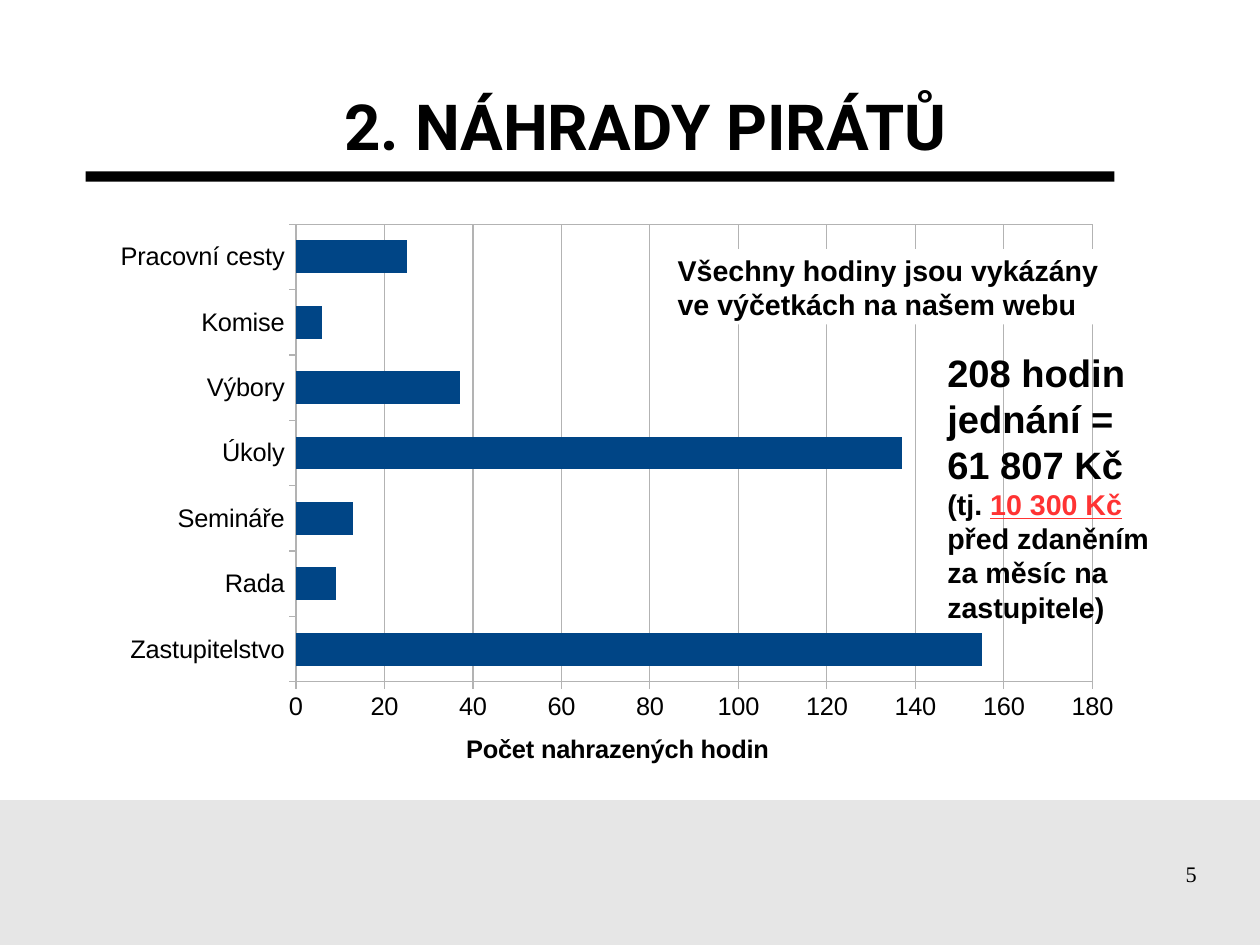
from dataclasses import dataclass

from lxml import etree
from pptx import Presentation
from pptx.chart.data import CategoryChartData
from pptx.dml.color import RGBColor
from pptx.enum.chart import XL_CHART_TYPE, XL_TICK_MARK
from pptx.enum.shapes import MSO_SHAPE
from pptx.enum.text import MSO_ANCHOR, MSO_AUTO_SIZE, PP_ALIGN
from pptx.util import Inches, Pt

BAR_CHART = XL_CHART_TYPE.BAR_CLUSTERED
TICK_OUTSIDE = XL_TICK_MARK.OUTSIDE
RECTANGLE = MSO_SHAPE.RECTANGLE
BOTTOM = MSO_ANCHOR.BOTTOM
NO_AUTOFIT = MSO_AUTO_SIZE.NONE
LEFT, CENTER, RIGHT = PP_ALIGN.LEFT, PP_ALIGN.CENTER, PP_ALIGN.RIGHT

CM_PER_INCH = 2.54
SLIDE_WIDTH, SLIDE_HEIGHT = 28 / CM_PER_INCH, 21 / CM_PER_INCH
BLACK, WHITE, GRAY, RED, BLUE, FOOTER = (
    "000000", "FFFFFF", "B3B3B3", "FF3333", "004586", "E6E6E6")
CHART_NS = "http://schemas.openxmlformats.org/drawingml/2006/chart"
DRAWING_NS = "http://schemas.openxmlformats.org/drawingml/2006/main"

HOURS = {
    "Zastupitelstvo": 155,
    "Rada": 9,
    "Semináře": 13,
    "Úkoly": 137,
    "Výbory": 37,
    "Komise": 6,
    "Pracovní cesty": 25,
}


@dataclass
class Box:
    left: float
    top: float
    width: float
    height: float

    def inches(self) -> tuple:
        return tuple(Inches(n) for n in (self.left, self.top, self.width, self.height))


@dataclass
class Run:
    text: str
    size: float
    color: str = BLACK
    bold: bool = True
    underline: bool = False
    font: str = "Arial"


def rgb(color: str) -> RGBColor:
    return RGBColor.from_string(color)


def style_font(font, run: Run) -> None:
    font.name = run.font
    font.size = Pt(run.size)
    font.bold = run.bold
    font.underline = run.underline
    font.color.rgb = rgb(run.color)


def write_text(frame, paragraphs: list[list[Run]], align=LEFT, margins=(0.1, 0.05)) -> None:
    frame.word_wrap = True
    frame.auto_size = NO_AUTOFIT
    frame.margin_left = frame.margin_right = Inches(margins[0])
    frame.margin_top = frame.margin_bottom = Inches(margins[1])
    for index, runs in enumerate(paragraphs):
        paragraph = frame.add_paragraph() if index else frame.paragraphs[0]
        paragraph.alignment = align
        for item in runs:
            run = paragraph.add_run()
            run.text = item.text
            style_font(run.font, item)


def add_rectangle(slide, box: Box, color: str):
    shape = slide.shapes.add_shape(RECTANGLE, *box.inches())
    shape.shadow.inherit = False
    shape.fill.solid()
    shape.fill.fore_color.rgb = rgb(color)
    shape.line.fill.background()
    return shape


def add_text(slide, box: Box, paragraphs: list[list[Run]], **options) -> None:
    write_text(slide.shapes.add_textbox(*box.inches()).text_frame, paragraphs, **options)


def chart_xml(content: str):
    return etree.fromstring(
        f'<c:wrap xmlns:c="{CHART_NS}" xmlns:a="{DRAWING_NS}">{content}</c:wrap>')[0]


def place_chart_part(element, index: int, modes: str, **fractions: float) -> None:
    """Give a chart part a manual layout, as fractions of the chart."""
    for old in element.findall(f"{{{CHART_NS}}}layout"):
        element.remove(old)
    values = "".join(f'<c:{name} val="{value}"/>' for name, value in fractions.items())
    element.insert(index, chart_xml(
        f"<c:layout><c:manualLayout>{modes}{values}</c:manualLayout></c:layout>"))


def style_axis(axis) -> None:
    axis.major_tick_mark = TICK_OUTSIDE
    style_font(axis.tick_labels.font, Run("", 16, bold=False))
    axis.format.line.color.rgb = rgb(GRAY)
    axis.format.line.width = Pt(0)


def add_hours_chart(slide, box: Box) -> None:
    data = CategoryChartData()
    data.categories = list(HOURS)
    data.add_series("Series 1", list(HOURS.values()))
    chart = slide.shapes.add_chart(BAR_CHART, *box.inches(), data).chart
    chart.has_legend = False
    chart.has_title = False
    style_font(chart.font, Run("", 10, bold=False))

    plot = chart.plots[0]
    plot.gap_width = 100
    plot.vary_by_categories = False
    bars = plot.series[0].format
    bars.fill.solid()
    bars.fill.fore_color.rgb = rgb(BLUE)

    hours_axis = chart.value_axis
    style_axis(chart.category_axis)
    style_axis(hours_axis)
    hours_axis.minimum_scale, hours_axis.maximum_scale, hours_axis.major_unit = 0, 180, 20
    hours_axis.has_major_gridlines = True
    hours_axis.major_gridlines.format.line.color.rgb = rgb(GRAY)
    hours_axis.major_gridlines.format.line.width = Pt(0)
    axis_title = hours_axis.axis_title
    label = Run("Počet nahrazených hodin", 16)
    run = axis_title.text_frame.paragraphs[0].add_run()
    run.text = label.text
    style_font(run.font, label)

    edges = '<c:xMode val="edge"/><c:yMode val="edge"/>'
    place_chart_part(axis_title.element, 1, edges, x=0.35, y=0.89)
    chart_element = chart.element.find(f"{{{CHART_NS}}}chart")
    plot_area = chart_element.find(f"{{{CHART_NS}}}plotArea")
    place_chart_part(plot_area, 0, '<c:layoutTarget val="inner"/>' + edges,
                     x=0.19, y=0.02, w=0.77, h=0.79)
    plot_area.append(chart_xml(
        f'<c:spPr><a:noFill/><a:ln w="0"><a:solidFill><a:srgbClr val="{GRAY}"/>'
        "</a:solidFill></a:ln></c:spPr>"))
    chart_element.addnext(chart_xml(
        f'<c:spPr><a:solidFill><a:srgbClr val="{WHITE}"/></a:solidFill>'
        "<a:ln><a:noFill/></a:ln></c:spPr>"))


def main() -> None:
    presentation = Presentation()
    presentation.slide_width = Inches(SLIDE_WIDTH)
    presentation.slide_height = Inches(SLIDE_HEIGHT)
    slide = presentation.slides.add_slide(presentation.slide_layouts[5])

    add_rectangle(slide, Box(0, 7, SLIDE_WIDTH, SLIDE_HEIGHT - 7), FOOTER)
    add_text(slide, Box(7.9, 7.53, 2.57, 0.57),
             [[Run("5", 14, bold=False, font="Times New Roman")]],
             align=RIGHT, margins=(0, 0))
    add_rectangle(slide, Box(0.75, 1.5, 9, 0.09), BLACK)

    title = slide.shapes.title
    title.left, title.top, title.width, title.height = Box(0.79, 0.05, 9.71, 1.38).inches()
    title.text_frame.vertical_anchor = BOTTOM
    write_text(title.text_frame, [[Run("2. NÁHRADY PIRÁTŮ", 40, font="Roboto")]],
               align=CENTER, margins=(0, 0))

    add_hours_chart(slide, Box(0.87, 1.86, 9.05, 5.07))
    add_text(slide, Box(8.19, 3.01, 2.13, 2.34), [
        [Run("208 hodin jednání =", 24)],
        [Run("61 807 Kč", 24)],
        [Run("(tj. ", 18), Run("10 300 Kč", 18, RED, underline=True),
         Run(" před zdaněním za měsíc na zastupitele)", 18)],
    ])
    web_note = add_rectangle(slide, Box(5.83, 2.18, 4.88, 0.66), WHITE)
    write_text(web_note.text_frame, [
        [Run("Všechny hodiny jsou vykázány", 18)],
        [Run("ve výčetkách na našem webu", 18)],
    ])
    presentation.save("out.pptx")


if __name__ == "__main__":
    main()
